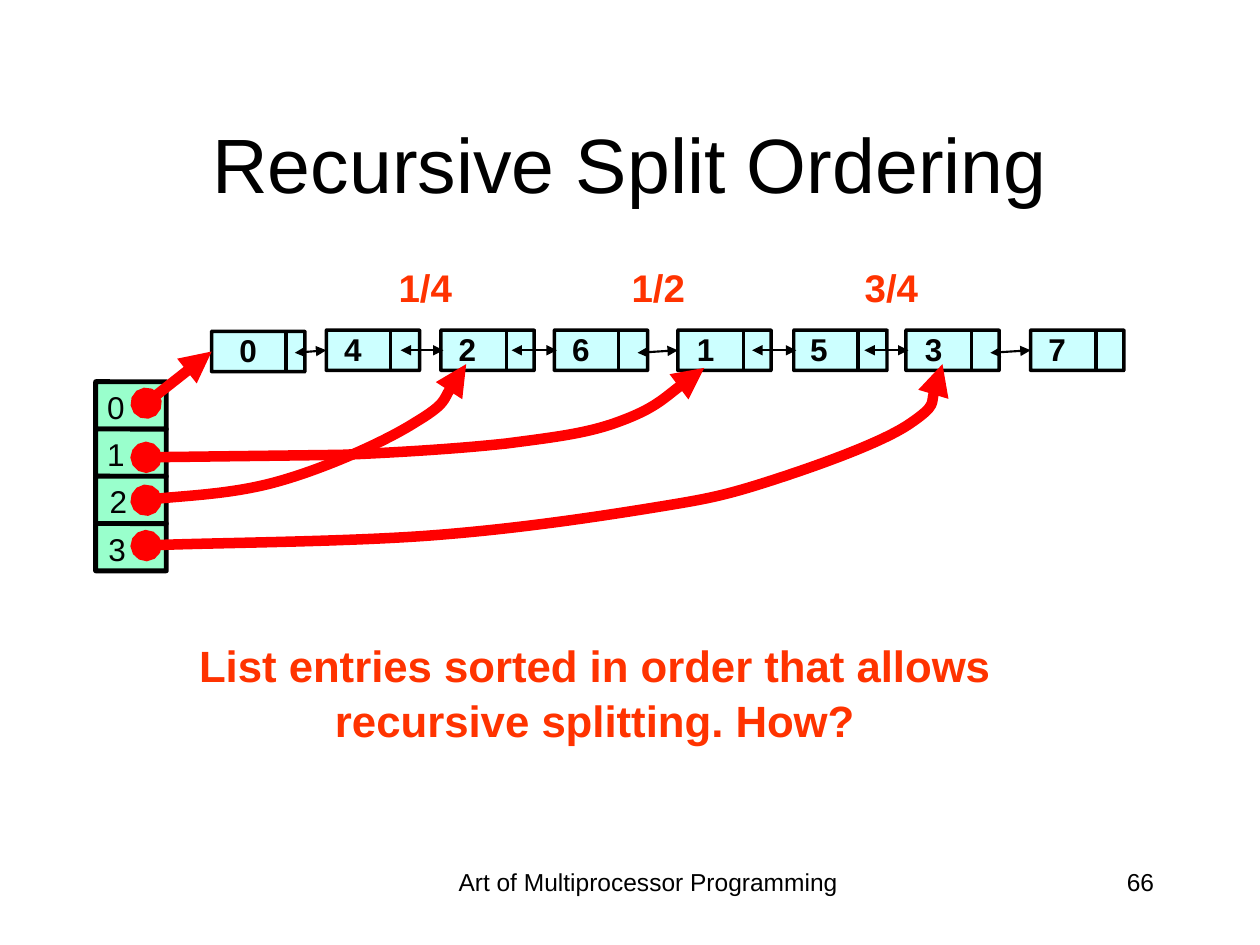
import pptx
import pptx.dml.color
import pptx.enum.shapes
import pptx.enum.text
import pptx.oxml.ns
import pptx.util
from lxml import etree

Inches = pptx.util.Inches
Pt = pptx.util.Pt
RGBColor = pptx.dml.color.RGBColor
Align = pptx.enum.text.PP_ALIGN
Anchor = pptx.enum.text.MSO_ANCHOR
qn = pptx.oxml.ns.qn

BLACK = RGBColor(0x00, 0x00, 0x00)
INK = RGBColor(0x02, 0x02, 0x02)
RED = RGBColor(0xFF, 0x00, 0x00)
ORANGE = RGBColor(0xFF, 0x33, 0x00)
CYAN = RGBColor(0xCC, 0xFF, 0xFF)
GREEN = RGBColor(0x99, 0xFF, 0xCC)

# List nodes: value, left edge, top edge, label offset, divider offset
NODES = [
    ("0", 1.68, 2.63, 0.13, 0.59),
    ("4", 2.59, 2.62, 0.05, 0.51),
    ("2", 3.50, 2.62, 0.05, 0.52),
    ("6", 4.40, 2.62, 0.05, 0.51),
    ("1", 5.38, 2.62, 0.06, 0.52),
    ("5", 6.30, 2.62, 0.04, 0.51),
    ("3", 7.19, 2.62, 0.06, 0.52),
    ("7", 8.18, 2.62, 0.05, 0.52),
]
NODE_WIDTH, NODE_HEIGHT = 0.74, 0.32

# Links between neighbours: start x, and whether the link stops at the node's side
LINKS = [(2.34, True), (3.18, False), (4.06, False), (5.06, True),
         (5.97, False), (6.86, False), (7.86, True)]

# Bucket table
BUCKET_LEFT, BUCKET_TOP, BUCKET_WIDTH = 0.76, 3.03, 0.56
BUCKET_HEIGHT = 1.5 / 4
BUCKET_LABELS = [("0", 0.76), ("1", 0.76), ("2", 0.78), ("3", 0.77)]

# Curved pointers: start, then segments of one point (line) or three (Bezier)
CURVES = [
    ((1.16, 3.63), [[(2.71, 3.61)],
                    [(3.18, 3.59), (3.65, 3.56), (4.02, 3.52)],
                    [(4.40, 3.47), (4.67, 3.44), (4.93, 3.34)],
                    [(5.20, 3.24), (5.46, 3.01), (5.59, 2.92)]]),
    ((1.16, 4.33), [[(1.54, 4.31), (2.76, 4.30), (3.42, 4.25)],
                    [(4.08, 4.20), (4.68, 4.11), (5.12, 4.04)],
                    [(5.55, 3.97), (5.69, 3.95), (6.04, 3.84)],
                    [(6.39, 3.73), (6.97, 3.53), (7.21, 3.37)],
                    [(7.45, 3.21), (7.43, 2.99), (7.48, 2.89)]]),
    ((1.16, 3.97), [[(1.34, 3.94), (1.86, 3.92), (2.21, 3.82)],
                    [(2.57, 3.72), (3.05, 3.51), (3.30, 3.35)],
                    [(3.55, 3.20), (3.62, 2.99), (3.70, 2.89)]]),
]


class SlideBuilder:
    font_name = "Arial"

    def __init__(self, page):
        self.page = page

    def format_text(self, para, size, color, bold=False, align=Align.LEFT):
        para.alignment = align
        values = {"name": self.font_name, "size": Pt(size), "bold": bold}
        for name, value in values.items():
            setattr(para.font, name, value)
        para.font.color.rgb = color

    def title(self, text, left, top, width, height):
        box = self.page.shapes.title
        place = {"left": left, "top": top, "width": width, "height": height}
        for name, value in place.items():
            setattr(box, name, Inches(value))
        box.text_frame.text = text
        box.text_frame.vertical_anchor = Anchor.MIDDLE
        self.format_text(box.text_frame.paragraphs[0], 44, BLACK, align=Align.CENTER)

    def text(self, text, left, top, width, height, size, color,
             bold=False, align=Align.LEFT, wrap=False, spacing=None):
        box = self.page.shapes.add_textbox(
            Inches(left), Inches(top), Inches(width), Inches(height))
        frame = box.text_frame
        values = {"margin_left": Inches(0.09), "margin_right": Inches(0.09),
                  "margin_top": Inches(0.05), "margin_bottom": Inches(0.05),
                  "word_wrap": wrap, "text": text}
        for name, value in values.items():
            setattr(frame, name, value)
        self.format_text(frame.paragraphs[0], size, color, bold, align)
        frame.paragraphs[0].line_spacing = spacing

    def block(self, left, top, width, height, fill, weight):
        box = self.page.shapes.add_shape(
            pptx.enum.shapes.MSO_SHAPE.ROUNDED_RECTANGLE,
            Inches(left), Inches(top), Inches(width), Inches(height))
        box.adjustments[0] = 0.004
        box.shadow.inherit = False
        box.fill.solid()
        box.fill.fore_color.rgb = fill
        box.line.color.rgb = BLACK
        box.line.width = Pt(weight)
        return box

    def stroke(self, shape, color, weight, head=None, tail=None):
        shape.line.color.rgb = color
        shape.line.width = Pt(weight)
        line = shape.line._get_or_add_ln()
        for tag, kind in (("a:headEnd", head), ("a:tailEnd", tail)):
            if kind:
                etree.SubElement(line, qn(tag), type=kind)

    def line(self, start, end, color, weight, head=None, tail=None, target=None):
        connector = self.page.shapes.add_connector(
            pptx.enum.shapes.MSO_CONNECTOR.STRAIGHT,
            *[Inches(value) for value in (*start, *end)])
        if target is not None:
            connector.end_connect(target, 1)
        self.stroke(connector, color, weight, head, tail)
        etree.SubElement(connector._element.spPr, qn("a:effectLst"))

    def curve(self, start, segments):
        builder = self.page.shapes.build_freeform(Inches(start[0]), Inches(start[1]))
        builder.add_line_segments(
            [(Inches(x), Inches(y)) for x, y in (segment[-1] for segment in segments)],
            close=False)
        shape = builder.convert_to_shape()
        shape.shadow.inherit = False
        shape.fill.background()
        self.stroke(shape, RED, 6, "oval", "triangle")
        # Turn the three-point segments into Bezier curves
        steps = list(shape._element.iter(qn("a:lnTo")))
        for step, segment in zip(steps, segments):
            if len(segment) == 3:
                bend = etree.Element(qn("a:cubicBezTo"))
                for x, y in segment:
                    etree.SubElement(bend, qn("a:pt"), x=str(Inches(x) - shape.left),
                                     y=str(Inches(y) - shape.top))
                step.getparent().replace(step, bend)


def main():
    deck = pptx.Presentation()
    deck.slide_width, deck.slide_height = Inches(10), Inches(7.5)
    slide = SlideBuilder(deck.slides.add_slide(deck.slide_layouts[5]))

    # Title and footer
    slide.title("Recursive Split Ordering", 0.75, 0.67, 8.5, 1.25)
    slide.text("Art of Multiprocessor Programming", 3.42, 6.83, 3.45, 0.5,
               14, BLACK, align=Align.CENTER, wrap=True)
    slide.text("66", 7.17, 6.83, 2.08, 0.5, 14, BLACK, align=Align.RIGHT, wrap=True)

    # List nodes
    boxes = []
    for value, left, top, label, divider in NODES:
        boxes.append(slide.block(left, top, NODE_WIDTH, NODE_HEIGHT, CYAN, 1.98))
        slide.line((left + divider, 2.63), (left + divider, 2.94), BLACK, 1.98)
        slide.text(value, left + label, top - 0.05, 0.32, 0.39, 18, INK, bold=True)

    # Links between neighbouring nodes
    for (start, joined), node, box in zip(LINKS, NODES[1:], boxes[1:]):
        end = node[1] if joined else node[1] + 0.02
        slide.line((start, 2.8 if joined else 2.78), (end, 2.78), BLACK, 1.22,
                   "triangle", "triangle", box if joined else None)

    # Bucket table
    for index, (value, left) in enumerate(BUCKET_LABELS):
        top = BUCKET_TOP + index * BUCKET_HEIGHT
        slide.block(BUCKET_LEFT, top, BUCKET_WIDTH, BUCKET_HEIGHT, GREEN, 2.83)
        slide.text(value, left, top, 0.32, 0.39, 18, INK)

    # Pointers from buckets to nodes
    slide.line((1.16, 3.2), (1.68, 2.79), RED, 6, "oval", "triangle", boxes[0])
    for start, segments in CURVES:
        slide.curve(start, segments)

    # Fractions and closing question
    for index, fraction in enumerate(("1/4", "1/2", "3/4")):
        slide.text(fraction, 3.07 + 1.85 * index, 2.05, 0.61, 0.46, 22, ORANGE,
                   bold=True, align=Align.CENTER)
    slide.text("List entries sorted in order that allows recursive splitting. How?",
               0.99, 5, 7.46, 0.92, 25, ORANGE, bold=True, align=Align.CENTER,
               wrap=True, spacing=1.05)

    deck.save("out.pptx")


if __name__ == "__main__":
    main()
